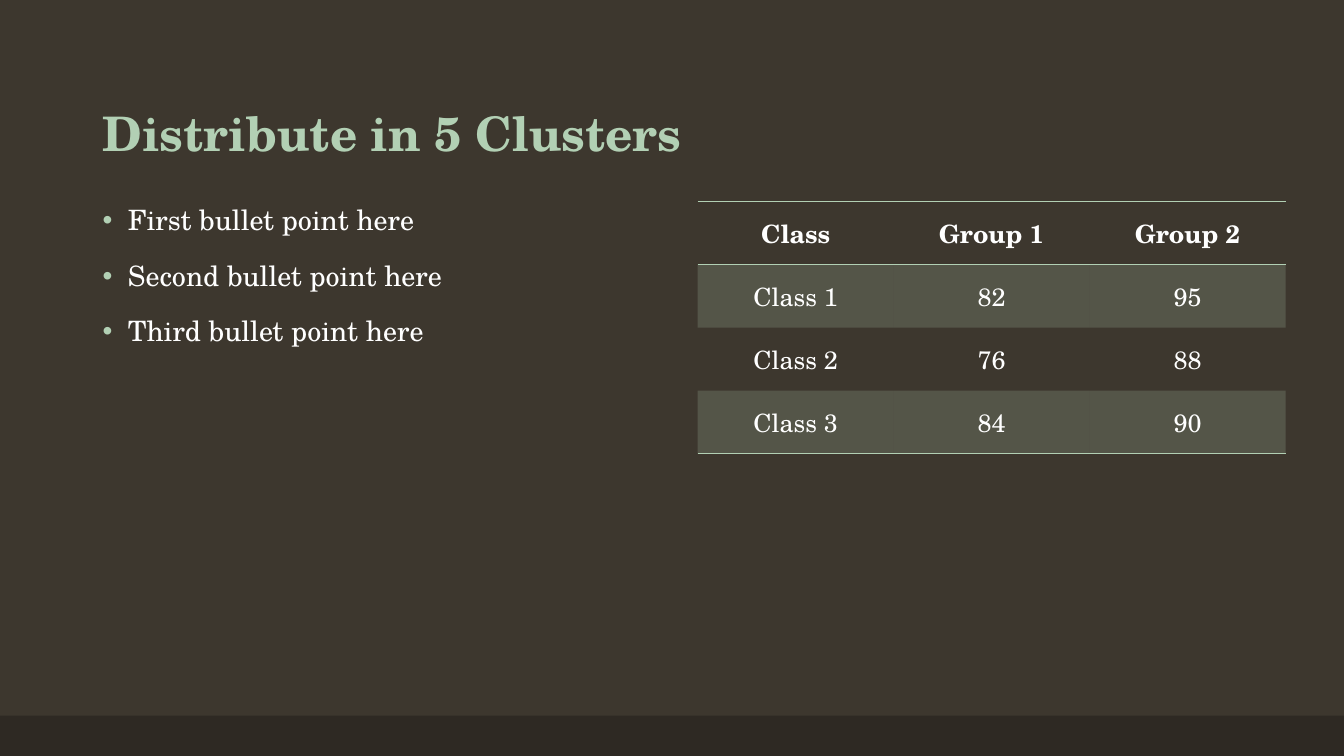
import pptx
import pptx.dml.color
import pptx.enum.shapes
import pptx.enum.text
import pptx.oxml
import pptx.oxml.ns
import pptx.util
from pptx.util import Inches

COLORS = {"background": "3D372E", "footer": "2E2923", "accent": "B2D0B4", "text": "FFFFFF"}
FONT = "TeX Gyre Schola"
BULLETS = ["First bullet point here", "Second bullet point here", "Third bullet point here"]
SCORES = [
    ["Class", "Group 1", "Group 2"],
    ["Class 1", "82", "95"],
    ["Class 2", "76", "88"],
    ["Class 3", "84", "90"],
]
RULED_EDGES = {0, 1, len(SCORES)}


def rgb(name):
    return pptx.dml.color.RGBColor.from_string(COLORS[name])


def make_xml(markup):
    namespace = pptx.oxml.ns.nsdecls("a")
    return pptx.oxml.parse_xml(markup.replace(" ", f" {namespace} ", 1))


def style_font(para, size, color, bold=False):
    para.font.name = FONT
    para.font.size = pptx.util.Pt(size)
    para.font.bold = bold
    para.font.color.rgb = rgb(color)


def add_text_frame(page, left, top, width, height, anchor):
    box = page.shapes.add_textbox(Inches(left), Inches(top), Inches(width), Inches(height))
    box.text_frame.word_wrap = True
    box.text_frame.vertical_anchor = anchor
    return box.text_frame


def add_footer(page, left, top, width, height):
    band = page.shapes.add_shape(
        pptx.enum.shapes.MSO_SHAPE.RECTANGLE,
        Inches(left), Inches(top), Inches(width), Inches(height),
    )
    band.shadow.inherit = False
    band.fill.solid()
    band.fill.fore_color.rgb = rgb("footer")
    band.line.fill.background()


def add_title(page, left, top, width, height):
    frame = add_text_frame(page, left, top, width, height, pptx.enum.text.MSO_ANCHOR.BOTTOM)
    para = frame.paragraphs[0]
    para.text = "Distribute in 5 Clusters"
    para.line_spacing = 0.9
    style_font(para, 34, "accent", True)


def add_bullets(page, left, top, width, height):
    frame = add_text_frame(page, left, top, width, height, pptx.enum.text.MSO_ANCHOR.TOP)
    frame.text = "\n".join(BULLETS)
    for para in frame.paragraphs:
        para.line_spacing = 0.9
        para.space_before = pptx.util.Pt(18)
        style_font(para, 20, "text")
        properties = para._p.get_or_add_pPr()
        properties.set("marL", str(Inches(0.25)))
        properties.set("indent", str(Inches(-0.25)))
        bullet_parts = [
            f'<a:buClr ><a:srgbClr val="{COLORS["accent"]}"/></a:buClr>',
            '<a:buFont typeface="Arial"/>',
            '<a:buChar char="•"/>',
        ]
        position = list(properties).index(properties.find(pptx.oxml.ns.qn("a:defRPr")))
        for offset, markup in enumerate(bullet_parts):
            properties.insert(position + offset, make_xml(markup))


def set_borders(cell, row):
    ruled = {"lnT": row in RULED_EDGES, "lnB": row + 1 in RULED_EDGES}
    for position, side in enumerate(["lnL", "lnR", "lnT", "lnB"]):
        paint = "<a:noFill/>"
        if ruled.get(side):
            paint = f'<a:solidFill><a:srgbClr val="{COLORS["accent"]}"/></a:solidFill>'
        border = make_xml(f'<a:{side} w="{pptx.util.Pt(1)}">{paint}</a:{side}>')
        cell._tc.get_or_add_tcPr().insert(position, border)


def fill_cell(cell, shaded):
    if not shaded:
        cell.fill.background()
        return
    cell.fill.solid()
    cell.fill.fore_color.rgb = rgb("accent")
    color = cell._tc.tcPr.find(".//" + pptx.oxml.ns.qn("a:srgbClr"))
    color.append(make_xml('<a:alpha val="20000"/>'))


def add_scores(page, left, top, width, height):
    table = page.shapes.add_table(
        len(SCORES), len(SCORES[0]), Inches(left), Inches(top), Inches(width), Inches(height)
    ).table
    table.first_row = True
    table.horz_banding = False
    for row, values in enumerate(SCORES):
        for column, value in enumerate(values):
            cell = table.cell(row, column)
            cell.text = value
            cell.vertical_anchor = pptx.enum.text.MSO_ANCHOR.MIDDLE
            para = cell.text_frame.paragraphs[0]
            para.alignment = pptx.enum.text.PP_ALIGN.CENTER
            style_font(para, 18, "text", row == 0)
            fill_cell(cell, row % 2 == 1)
            set_borders(cell, row)


def main():
    deck = pptx.Presentation()
    deck.slide_width = Inches(13.33)
    deck.slide_height = Inches(7.5)
    page = deck.slides.add_slide(deck.slide_layouts[6])
    page.background.fill.solid()
    page.background.fill.fore_color.rgb = rgb("background")
    add_footer(page, 0, 7.1, 13.33, 0.4)
    add_title(page, 0.92, 0.4, 11.5, 1.25)
    add_bullets(page, 0.92, 2, 5.5, 4.76)
    add_scores(page, 6.92, 2, 5.83, 2.5)
    deck.save("out.pptx")


if __name__ == "__main__":
    main()
